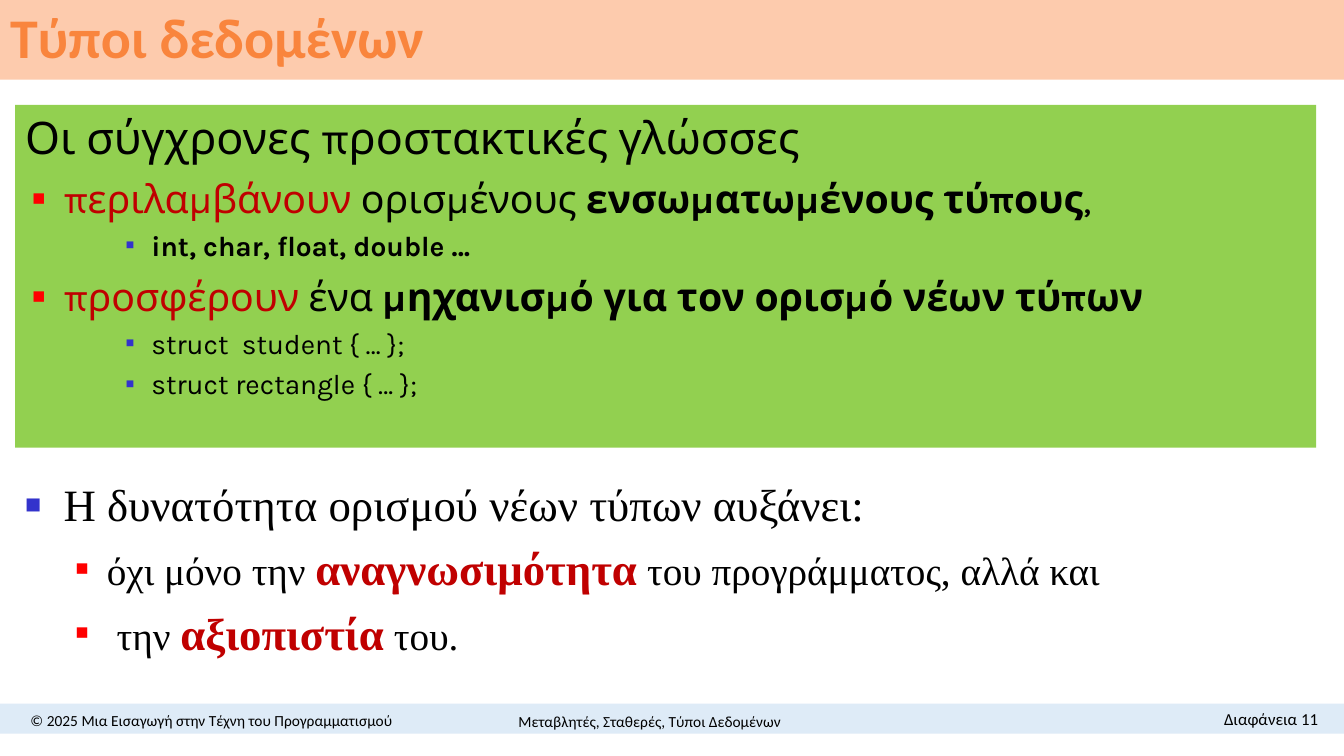
from dataclasses import dataclass
from typing import Optional

from lxml.etree import SubElement
from pptx import Presentation
from pptx.dml.color import RGBColor
from pptx.enum.shapes import MSO_SHAPE
from pptx.enum.text import MSO_ANCHOR, MSO_AUTO_SIZE, PP_ALIGN
from pptx.oxml.ns import qn
from pptx.util import Cm, Pt

BLACK = RGBColor(0x00, 0x00, 0x00)
DARK_RED = RGBColor(0xC0, 0x00, 0x00)
RED = RGBColor(0xFF, 0x00, 0x00)
BLUE = RGBColor(0x33, 0x33, 0xCC)
ORANGE = RGBColor(0xF9, 0x85, 0x3D)
PEACH = RGBColor(0xFD, 0xCB, 0xAD)
GREEN = RGBColor(0x92, 0xD0, 0x50)
PALE_BLUE = RGBColor(0xDE, 0xEB, 0xF7)

SLIDE_WIDTH = 33.87
TWO_CONTENT_LAYOUT = 3


@dataclass(frozen=True)
class Frame:
    left: float
    top: float
    width: float
    height: float

    def lengths(self) -> tuple:
        return Cm(self.left), Cm(self.top), Cm(self.width), Cm(self.height)


@dataclass(frozen=True)
class Span:
    text: str
    color: Optional[RGBColor] = None
    bold: Optional[bool] = None
    size: Optional[float] = None


@dataclass(frozen=True)
class Style:
    size: float
    space_before: float
    level: int = 0
    margin: float = 0
    indent: float = 0
    bullet_color: Optional[RGBColor] = None
    bullet_percent: int = 100


@dataclass(frozen=True)
class Item:
    style: Style
    spans: tuple


@dataclass(frozen=True)
class FooterText:
    text: str
    frame: Frame
    size: float
    alignment: PP_ALIGN
    anchor: MSO_ANCHOR


HEADING = Style(32, 0)
FEATURE = Style(28, 7.5, 0, 0.97, -0.79, RED, 55)
EXAMPLE = Style(20, 5, 2, 3.18, -0.64, BLUE, 50)
CLAIM = Style(32, 0, 0, 0.97, -0.97, BLUE, 60)
BENEFIT = Style(28, 7.5, 1, 2.06, -0.79, RED, 55)

LANGUAGE_ITEMS = (
    Item(HEADING, (Span("Οι σύγχρονες προστακτικές γλώσσες"),)),
    Item(FEATURE, (Span("περιλαμβάνουν", DARK_RED), Span(" ορισμένους "),
                   Span("ενσωματωμένους τύπους", bold=True), Span(","))),
    Item(EXAMPLE, (Span("int, char, float, double …", bold=True),)),
    Item(FEATURE, (Span("προσφέρουν", DARK_RED), Span(" ένα "),
                   Span("μηχανισμό για τον ορισμό νέων τύπων", bold=True))),
    Item(EXAMPLE, (Span("struct  student { … };"),)),
    Item(EXAMPLE, (Span("struct rectangle { … };"),)),
)
BENEFIT_ITEMS = (
    Item(CLAIM, (Span("Η δυνατότητα ορισμού νέων τύπων αυξάνει:"),)),
    Item(BENEFIT, (Span("όχι μόνο την "),
                   Span("αναγνωσιμότητα", DARK_RED, True, 32),
                   Span(" του προγράμματος, αλλά και"))),
    Item(BENEFIT, (Span(" την "), Span("αξιοπιστία", DARK_RED, True, 32),
                   Span(" του."))),
)
FOOTER_TEXTS = (
    FooterText("© 2025 Μια Εισαγωγή στην Τέχνη του Προγραμματισμού",
               Frame(0, 17.83, 10.67, 0.66), 11, PP_ALIGN.CENTER, MSO_ANCHOR.MIDDLE),
    FooterText("Διαφάνεια 11",
               Frame(28.24, 17.73, 5.23, 0.76), 12, PP_ALIGN.RIGHT, MSO_ANCHOR.TOP),
    FooterText("Μεταβλητές, Σταθερές, Τύποι Δεδομένων",
               Frame(11.56, 17.83, 9.63, 0.71), 11, PP_ALIGN.CENTER, MSO_ANCHOR.MIDDLE),
)


def place(shape, frame: Frame) -> None:
    shape.left, shape.top, shape.width, shape.height = frame.lengths()


def fill_solid(shape, color: RGBColor) -> None:
    shape.fill.solid()
    shape.fill.fore_color.rgb = color


def set_font(font, name: str, size: float, color: RGBColor, bold: bool = False) -> None:
    font.name, font.size, font.bold = name, Pt(size), bold
    font.color.rgb = color


def set_bullet(para, style: Style) -> None:
    """Set the indents and the square bullet, or none if it has no colour."""
    properties = para._p.get_or_add_pPr()
    properties.set("marL", str(Cm(style.margin)))
    properties.set("indent", str(Cm(style.indent)))
    if style.bullet_color is None:
        SubElement(properties, qn("a:buNone"))
        return
    color = SubElement(properties, qn("a:buClr"))
    SubElement(color, qn("a:srgbClr"), val=str(style.bullet_color))
    SubElement(properties, qn("a:buSzPct"), val=str(style.bullet_percent * 1000))
    SubElement(properties, qn("a:buFont"), typeface="Arial")
    SubElement(properties, qn("a:buChar"), char="■")


def fill_list(box, frame: Frame, items: tuple, font_name: str) -> None:
    place(box, frame)
    text_frame = box.text_frame
    text_frame.auto_size = MSO_AUTO_SIZE.NONE
    for index, item in enumerate(items):
        para = text_frame.add_paragraph() if index else text_frame.paragraphs[0]
        para.level = item.style.level
        set_bullet(para, item.style)
        para.alignment = PP_ALIGN.JUSTIFY
        para.space_before = Pt(item.style.space_before)
        set_font(para.font, font_name, item.style.size, BLACK)
        for span in item.spans:
            run = para.add_run()
            run.text = span.text
            if span.color is not None:
                run.font.color.rgb = span.color
            if span.bold is not None:
                run.font.bold = span.bold
            if span.size is not None:
                run.font.size = Pt(span.size)


def fill_title(title) -> None:
    place(title, Frame(0, 0, SLIDE_WIDTH, 2.01))
    fill_solid(title, PEACH)
    title.text_frame.text = "Τύποι δεδομένων"
    title.text_frame.auto_size = MSO_AUTO_SIZE.NONE
    title.text_frame.vertical_anchor = MSO_ANCHOR.MIDDLE
    para = title.text_frame.paragraphs[0]
    para.alignment = PP_ALIGN.LEFT
    para.line_spacing = 0.9
    set_font(para.font, "Calibri", 40, ORANGE, bold=True)


def add_footer(slide) -> None:
    strip = slide.shapes.add_shape(
        MSO_SHAPE.RECTANGLE, *Frame(0, 17.73, SLIDE_WIDTH, 0.76).lengths())
    strip.shadow.inherit = False
    fill_solid(strip, PALE_BLUE)
    strip.line.fill.background()
    for footer in FOOTER_TEXTS:
        box = slide.shapes.add_textbox(*footer.frame.lengths())
        box.text_frame.word_wrap = True
        box.text_frame.vertical_anchor = footer.anchor
        para = box.text_frame.paragraphs[0]
        para.text = footer.text
        para.alignment = footer.alignment
        set_font(para.font, "Calibri", footer.size, BLACK)


def main() -> None:
    deck = Presentation()
    deck.slide_width, deck.slide_height = Cm(SLIDE_WIDTH), Cm(19.05)
    slide = deck.slides.add_slide(deck.slide_layouts[TWO_CONTENT_LAYOUT])
    title, languages, benefits = slide.placeholders
    fill_title(title)
    fill_solid(languages, GREEN)
    fill_list(languages, Frame(0.38, 2.64, 32.79, 8.64), LANGUAGE_ITEMS, "Karla")
    fill_list(benefits, Frame(0.38, 11.89, 29.24, 5.94), BENEFIT_ITEMS, "Times New Roman")
    add_footer(slide)
    deck.save("out.pptx")


if __name__ == "__main__":
    main()
